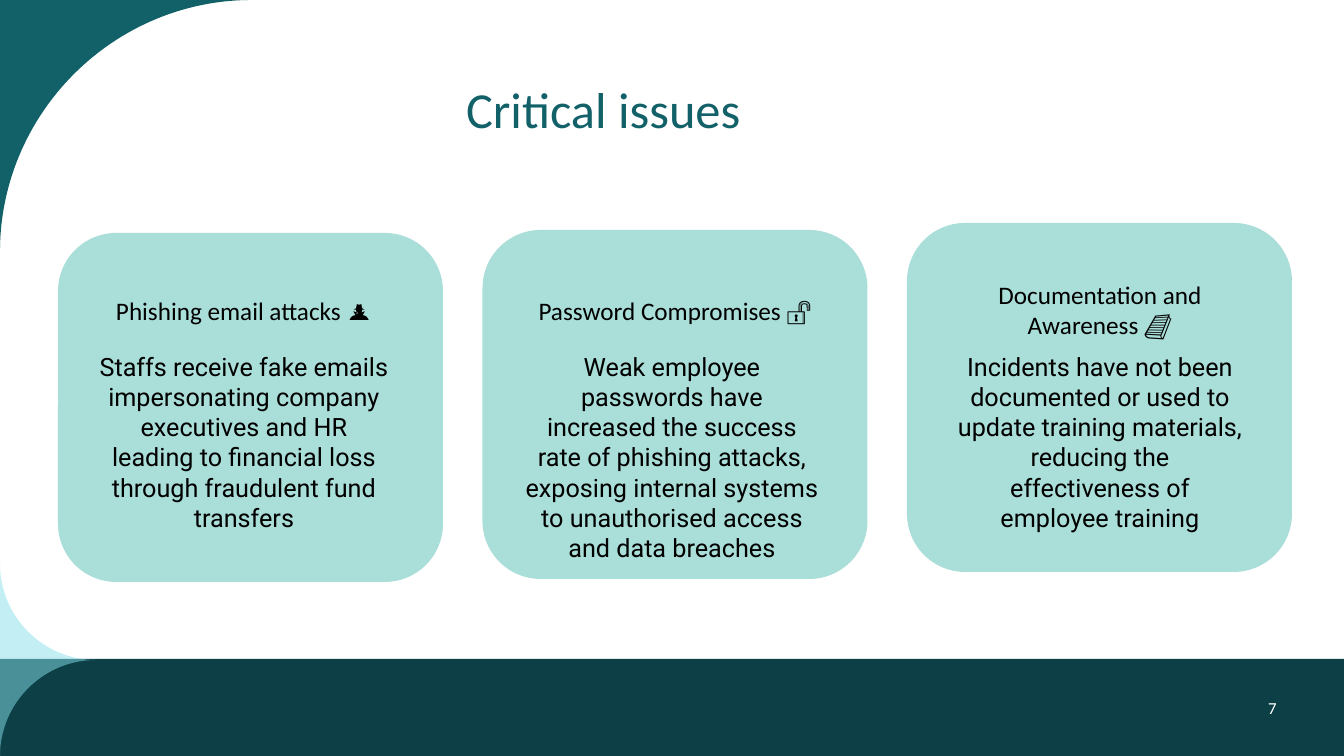
import lxml.etree
import pptx
import pptx.dml.color
import pptx.enum.shapes
import pptx.enum.text
import pptx.oxml.ns
import pptx.util

# Content: one entry per issue, positions and sizes in px
TITLE = "Critical issues"
PAGE_NUMBER = "7"
ISSUES = [
    {
        "heading": "Phishing email attacks ", "icon": "🕵️",
        "detail": "Staffs receive fake emails impersonating company executives and HR "
                  "leading to financial loss through fraudulent fund transfers",
        "card_top": 233, "heading_at": (78, 290), "detail_left": 87, "detail_height": 194,
    },
    {
        "heading": "Password Compromises ", "icon": "🔓",
        "detail": "Weak employee passwords have increased the success rate of phishing "
                  "attacks, exposing internal systems to unauthorised access and data breaches",
        "card_top": 230, "heading_at": (509, 290), "detail_left": 515, "detail_height": 285,
    },
    {
        "heading": "Documentation and Awareness ", "icon": "📘",
        "detail": "Incidents have not been documented or used to update training materials, "
                  "reducing the effectiveness of employee training",
        "card_top": 223, "heading_at": (934, 274), "detail_left": 943, "detail_height": 254,
    },
]

# Layout, in px
PX = 914400 / 100.8
SLIDE_WIDTH, SLIDE_HEIGHT = 1344, 756
FOOTER_TOP = 659
CORNER_RADIUS, NOTCH_RADIUS = 252, 96
CARD_LEFT, CARD_PITCH, CARD_WIDTH, CARD_HEIGHT = 58, 424.5, 385, 349
HEADING_WIDTH, HEADING_HEIGHT = 332, 72
DETAIL_TOP, DETAIL_WIDTH = 346, 314

RGB = pptx.dml.color.RGBColor
WHITE = RGB(0xFF, 0xFF, 0xFF)
BLACK = RGB(0x00, 0x00, 0x00)
FOOTER_TEAL = RGB(0x0C, 0x40, 0x46)
DEEP_TEAL = RGB(0x12, 0x61, 0x69)
PALE_CYAN = RGB(0x89, 0xE1, 0xEB)
MINT = RGB(0xAA, 0xDE, 0xD8)

SHAPE = pptx.enum.shapes.MSO_SHAPE
ALIGN = pptx.enum.text.PP_ALIGN
ANCHOR = pptx.enum.text.MSO_ANCHOR
AUTO_SIZE = pptx.enum.text.MSO_AUTO_SIZE
qn = pptx.oxml.ns.qn


def emu(*lengths):
    return [round(length * PX) for length in lengths]


def paint(shape, color):
    shape.shadow.inherit = False
    shape.fill.solid()
    shape.fill.fore_color.rgb = color
    shape.line.fill.background()
    return shape


def add_block(slide, preset, color, *box):
    return paint(slide.shapes.add_shape(preset, *emu(*box)), color)


def quarter_arc(start, corner, end):
    """Two Bezier handles and the end of a quarter circle bulging towards a corner."""
    handles = [tuple(p + 0.55 * (c - p) for p, c in zip(point, corner))
               for point in (start, end)]
    return handles + [end]


def add_curved_outline(slide, start, arcs, corners, color):
    """Outline of quarter arcs, followed by straight lines to the given corners."""
    builder = slide.shapes.build_freeform(*emu(*start))
    points = [point for arc in arcs for point in arc] + corners
    builder.add_line_segments([emu(*point) for point in points], close=True)
    shape = builder.convert_to_shape()
    lines = list(shape.element.iter(qn("a:lnTo")))
    for i in range(0, 3 * len(arcs), 3):
        curve = lxml.etree.Element(qn("a:cubicBezTo"))
        lines[i].addprevious(curve)
        for line in lines[i:i + 3]:
            curve.append(line[0])
            line.getparent().remove(line)
    return paint(shape, color)


def format_run(run, font_name, size, color):
    run.font.name = font_name
    run.font.size = pptx.util.Pt(size)
    run.font.color.rgb = color


def add_label(slide, text, font_name, size, color, *box):
    frame = slide.shapes.add_textbox(*emu(*box)).text_frame
    frame.word_wrap = True
    frame.text = text
    paragraph = frame.paragraphs[0]
    paragraph.alignment = ALIGN.CENTER
    format_run(paragraph.runs[0], font_name, size, color)
    return frame


def add_backdrop(slide):
    # Footer band and rounded top corner
    add_block(slide, SHAPE.RECTANGLE, FOOTER_TEAL, 0, FOOTER_TOP, SLIDE_WIDTH,
              SLIDE_HEIGHT - FOOTER_TOP)
    top, side = (CORNER_RADIUS, 0), (0, CORNER_RADIUS)
    add_curved_outline(slide, top, [quarter_arc(top, (0, 0), side)], [(0, 0)], DEEP_TEAL)

    # Half-transparent notch: two quarter arcs meeting at a tip
    middle = SLIDE_HEIGHT - NOTCH_RADIUS
    upper, lower = (0, middle - NOTCH_RADIUS), (0, SLIDE_HEIGHT)
    tip, hollow = (NOTCH_RADIUS, middle), (0, middle)
    notch = add_curved_outline(
        slide, upper, [quarter_arc(upper, hollow, tip), quarter_arc(tip, hollow, lower)],
        [], PALE_CYAN)
    tint = next(notch.element.iter(qn("a:srgbClr")))
    lxml.etree.SubElement(tint, qn("a:alpha"), val="50000")


def add_title(slide):
    title = slide.shapes.title
    title.left, title.top, title.width, title.height = emu(456, 17, 1058, 191)
    frame = title.text_frame
    frame.text = TITLE
    frame.vertical_anchor = ANCHOR.MIDDLE
    paragraph = frame.paragraphs[0]
    paragraph.alignment = ALIGN.LEFT
    paragraph.line_spacing = 0.9
    format_run(paragraph.runs[0], "Calibri", 36, DEEP_TEAL)


def add_issue(slide, column, issue):
    add_block(slide, SHAPE.ROUNDED_RECTANGLE, MINT, CARD_LEFT + column * CARD_PITCH,
              issue["card_top"], CARD_WIDTH, CARD_HEIGHT)
    heading = add_label(slide, issue["heading"], "Calibri", 18, BLACK,
                        *issue["heading_at"], HEADING_WIDTH, HEADING_HEIGHT)
    icon = heading.paragraphs[0].add_run()
    icon.text = issue["icon"]
    format_run(icon, "Roboto", 18, BLACK)
    detail = add_label(slide, issue["detail"], "Roboto", 18, BLACK, issue["detail_left"],
                       DETAIL_TOP, DETAIL_WIDTH, issue["detail_height"])
    heading.auto_size = detail.auto_size = AUTO_SIZE.SHAPE_TO_FIT_TEXT


def main():
    deck = pptx.Presentation()
    deck.slide_width, deck.slide_height = emu(SLIDE_WIDTH, SLIDE_HEIGHT)
    slide = deck.slides.add_slide(deck.slide_layouts[5])
    slide.background.fill.solid()
    slide.background.fill.fore_color.rgb = WHITE

    add_backdrop(slide)
    add_title(slide)
    for column, issue in enumerate(ISSUES):
        add_issue(slide, column, issue)
    page = add_label(slide, PAGE_NUMBER, "Calibri", 12, WHITE, 1201, FOOTER_TOP, 143, 97)
    page.vertical_anchor = ANCHOR.MIDDLE

    deck.save("out.pptx")


if __name__ == "__main__":
    main()
